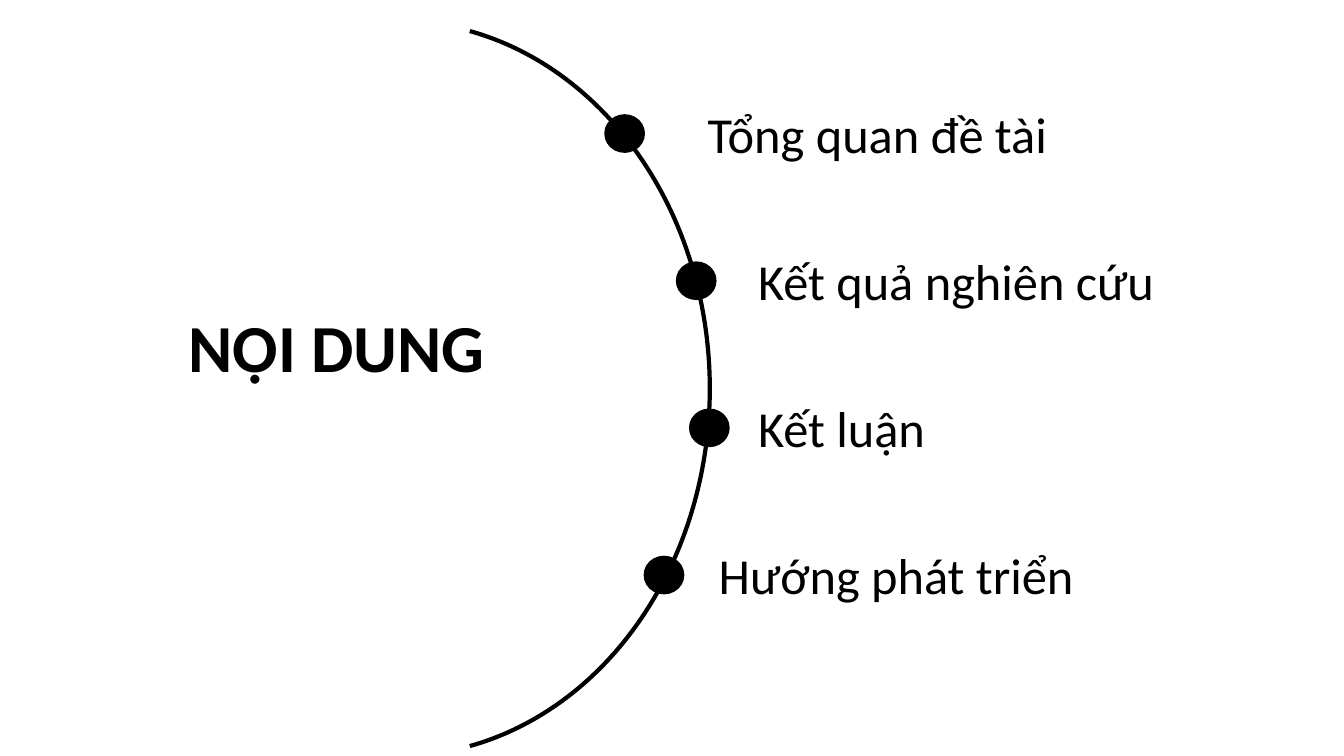
from dataclasses import dataclass
import math

import pptx
import pptx.dml.color
import pptx.enum.shapes
import pptx.enum.text
import pptx.util

EMU_PER_PX = 9144  # 100 px to the inch
BLACK = pptx.dml.color.RGBColor(0x00, 0x00, 0x00)
FONT = "Calibri"

SLIDE_WIDTH, SLIDE_HEIGHT = 1333, 750
CURVE_LEFT, CURVE_TOP, CURVE_WIDTH, CURVE_HEIGHT = 85, 21, 619, 729
CURVE_CUT_X = 466
DOT_WIDTH, DOT_HEIGHT = 39, 37
FIRST_DOT_TOP, TOPIC_PITCH = 114, 146
LABEL_RISE, LABEL_WIDTH, LABEL_HEIGHT = 17, 590, 71


@dataclass(frozen=True)
class Topic:
    text: str
    dot_left: int
    label_left: int


TOPICS = [
    Topic("Tổng quan đề tài", 600, 692),
    Topic("Kết quả nghiên cứu", 671, 742),
    Topic("Kết luận", 684, 742),
    Topic("Hướng phát triển", 639, 703),
]


def px(length: int) -> pptx.util.Emu:
    return pptx.util.Emu(length * EMU_PER_PX)


def write_text(frame, text: str, size: int, bold: bool = False) -> None:
    frame.word_wrap = True
    frame.auto_size = pptx.enum.text.MSO_AUTO_SIZE.SHAPE_TO_FIT_TEXT
    frame.vertical_anchor = pptx.enum.text.MSO_ANCHOR.TOP
    paragraph = frame.paragraphs[0]
    paragraph.alignment = pptx.enum.text.PP_ALIGN.LEFT
    run = paragraph.add_run()
    run.text = text
    run.font.name = FONT
    run.font.size = pptx.util.Pt(size)
    run.font.bold = bold
    run.font.color.rgb = BLACK


def add_heading(slide) -> None:
    heading = slide.shapes.title
    heading.left, heading.top = px(177), px(298)
    heading.width, heading.height = px(372), px(91)
    write_text(heading.text_frame, "NỘI DUNG", 48, bold=True)


def add_curve(slide) -> None:
    """Draw the part of the ellipse that lies right of CURVE_CUT_X."""
    curve = slide.shapes.add_shape(
        pptx.enum.shapes.MSO_SHAPE.ARC,
        px(CURVE_LEFT), px(CURVE_TOP), px(CURVE_WIDTH), px(CURVE_HEIGHT),
    )
    radius_x, radius_y = CURVE_WIDTH / 2, CURVE_HEIGHT / 2
    cut_x = CURVE_CUT_X - CURVE_LEFT - radius_x
    cut_y = radius_y * math.sqrt(1 - (cut_x / radius_x) ** 2)
    half_angle = math.degrees(math.atan2(cut_y, cut_x))
    # Angles are 60000ths of a degree; adjustments are scaled by 100000.
    curve.adjustments[0] = (360 - half_angle) * 0.6
    curve.adjustments[1] = half_angle * 0.6
    curve.shadow.inherit = False
    curve.fill.background()
    curve.line.color.rgb = BLACK
    curve.line.width = pptx.util.Pt(3)


def add_topic(slide, topic: Topic, dot_top: int) -> None:
    dot = slide.shapes.add_shape(
        pptx.enum.shapes.MSO_SHAPE.OVAL,
        px(topic.dot_left), px(dot_top), px(DOT_WIDTH), px(DOT_HEIGHT),
    )
    dot.shadow.inherit = False
    dot.fill.solid()
    dot.fill.fore_color.rgb = BLACK
    dot.line.color.rgb = BLACK
    dot.line.width = pptx.util.Pt(1)

    label = slide.shapes.add_textbox(
        px(topic.label_left), px(dot_top - LABEL_RISE),
        px(LABEL_WIDTH), px(LABEL_HEIGHT),
    )
    write_text(label.text_frame, topic.text, 36)


def main() -> None:
    deck = pptx.Presentation()
    deck.slide_width, deck.slide_height = px(SLIDE_WIDTH), px(SLIDE_HEIGHT)
    slide = deck.slides.add_slide(deck.slide_layouts.get_by_name("Title Only"))
    add_heading(slide)
    add_curve(slide)
    for row, topic in enumerate(TOPICS):
        add_topic(slide, topic, FIRST_DOT_TOP + row * TOPIC_PITCH)
    deck.save("out.pptx")


if __name__ == "__main__":
    main()
